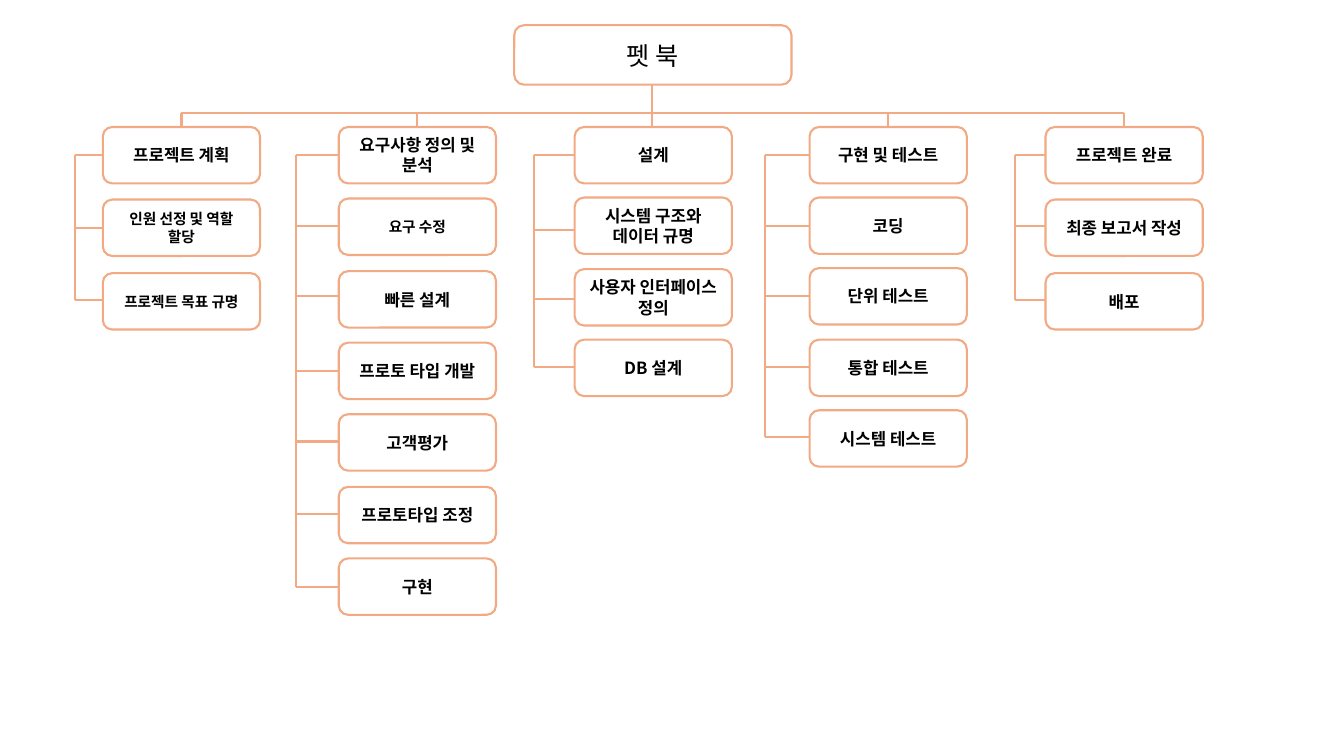
from lxml.etree import SubElement
from pptx import Presentation
from pptx.dml.color import RGBColor
from pptx.enum.shapes import MSO_CONNECTOR, MSO_SHAPE
from pptx.enum.text import MSO_ANCHOR, PP_ALIGN
from pptx.oxml.ns import qn
from pptx.util import Pt

PX = 9144  # 100 px to the inch
FONT = "Noto Sans CJK KR"
WHITE = RGBColor(0xFF, 0xFF, 0xFF)
BLACK = RGBColor(0, 0, 0)
PEACH = RGBColor(0xF2, 0xAA, 0x84)

BOX_WIDTH, BOX_HEIGHT = 156, 56
FIRST_LEFT, LAST_LEFT = 102, 1037
FIRST_TOP, BUS_Y = 126, 112
TITLE_LEFT, TITLE_TOP, TITLE_WIDTH, TITLE_HEIGHT = 510, 25, 275, 59
TRUNK_X = 647
HEAD, SMALL = 12, 10.5

# Each phase: spine x, top of its last box, branch heights, (label, size) from the top
phases = [
    (74, 271, [154, 226, 298],
     [("프로젝트 계획", HEAD), ("인원 선정 및 역할 할당", SMALL), ("프로젝트 목표 규명", SMALL)]),
    (294, 554, [154, 224, 294, 368, 438, 510, 582],
     [("요구사항 정의 및 분석", HEAD), ("요구 수정", SMALL), ("빠른 설계", HEAD),
      ("프로토 타입 개발", HEAD), ("고객평가", HEAD), ("프로토타입 조정", HEAD), ("구현", HEAD)]),
    (530, 337, [154, 228, 297, 364],
     [("설계", HEAD), ("시스템 구조와 데이터 규명", HEAD), ("사용자 인터페이스 정의", HEAD),
      ("DB 설계", HEAD)]),
    (759, 407, [154, 224, 294, 364, 434],
     [("구현 및 테스트", HEAD), ("코딩", HEAD), ("단위 테스트", HEAD), ("통합 테스트", HEAD),
      ("시스템 테스트", HEAD)]),
    (1007, 271, [154, 224, 298],
     [("프로젝트 완료", HEAD), ("최종 보고서 작성", HEAD), ("배포", HEAD)]),
]

deck = Presentation()
deck.slide_width, deck.slide_height = 1333 * PX, 750 * PX
page = deck.slides.add_slide(deck.slide_layouts[6])


def add_box(label, left, top, width, height, size, bold):
    box = page.shapes.add_shape(MSO_SHAPE.ROUNDED_RECTANGLE,
                                left * PX, top * PX, width * PX, height * PX)
    box.shadow.inherit = False
    box.fill.solid()
    box.fill.fore_color.rgb = WHITE
    box.line.color.rgb = PEACH
    box.line.width = Pt(1.5)
    box.text_frame.word_wrap = True
    box.text_frame.vertical_anchor = MSO_ANCHOR.MIDDLE
    para = box.text_frame.paragraphs[0]
    para.alignment = PP_ALIGN.CENTER
    span = para.add_run()
    span.text = label
    span.font.color.rgb = BLACK
    for name, value in {"name": FONT, "size": Pt(size), "bold": bold}.items():
        setattr(span.font, name, value)
    # Korean text takes the East Asian font
    SubElement(span._r.get_or_add_rPr(), qn("a:ea"), typeface=FONT)


def add_line(x1, y1, x2, y2):
    line = page.shapes.add_connector(MSO_CONNECTOR.STRAIGHT,
                                     x1 * PX, y1 * PX, x2 * PX, y2 * PX)
    line.line.color.rgb = PEACH
    line.line.width = Pt(1.5)
    SubElement(line._element.spPr, qn("a:effectLst"))


# Title box, trunk and bus
add_box("펫 북", TITLE_LEFT, TITLE_TOP, TITLE_WIDTH, TITLE_HEIGHT, 18, False)
add_line(TRUNK_X, TITLE_TOP + TITLE_HEIGHT, TRUNK_X, FIRST_TOP)
add_line(FIRST_LEFT + BOX_WIDTH // 2, BUS_Y, LAST_LEFT + BOX_WIDTH // 2, BUS_Y)

# Phase columns
column_step = (LAST_LEFT - FIRST_LEFT) / (len(phases) - 1)
for column, (spine_x, last_top, branches, tasks) in enumerate(phases):
    left = round(FIRST_LEFT + column * column_step)
    row_step = (last_top - FIRST_TOP) / (len(tasks) - 1)
    for row, (label, size) in enumerate(tasks):
        top = round(FIRST_TOP + row * row_step)
        add_box(label, left, top, BOX_WIDTH, BOX_HEIGHT, size, True)

    # Spine, branches and the drop from the bus (the trunk serves the middle column)
    add_line(spine_x, branches[0], spine_x, branches[-1])
    for branch_y in branches:
        add_line(spine_x, branch_y, left, branch_y)
    if column != len(phases) // 2:
        centre = left + BOX_WIDTH // 2
        add_line(centre, BUS_Y, centre, FIRST_TOP)

deck.save("out.pptx")
